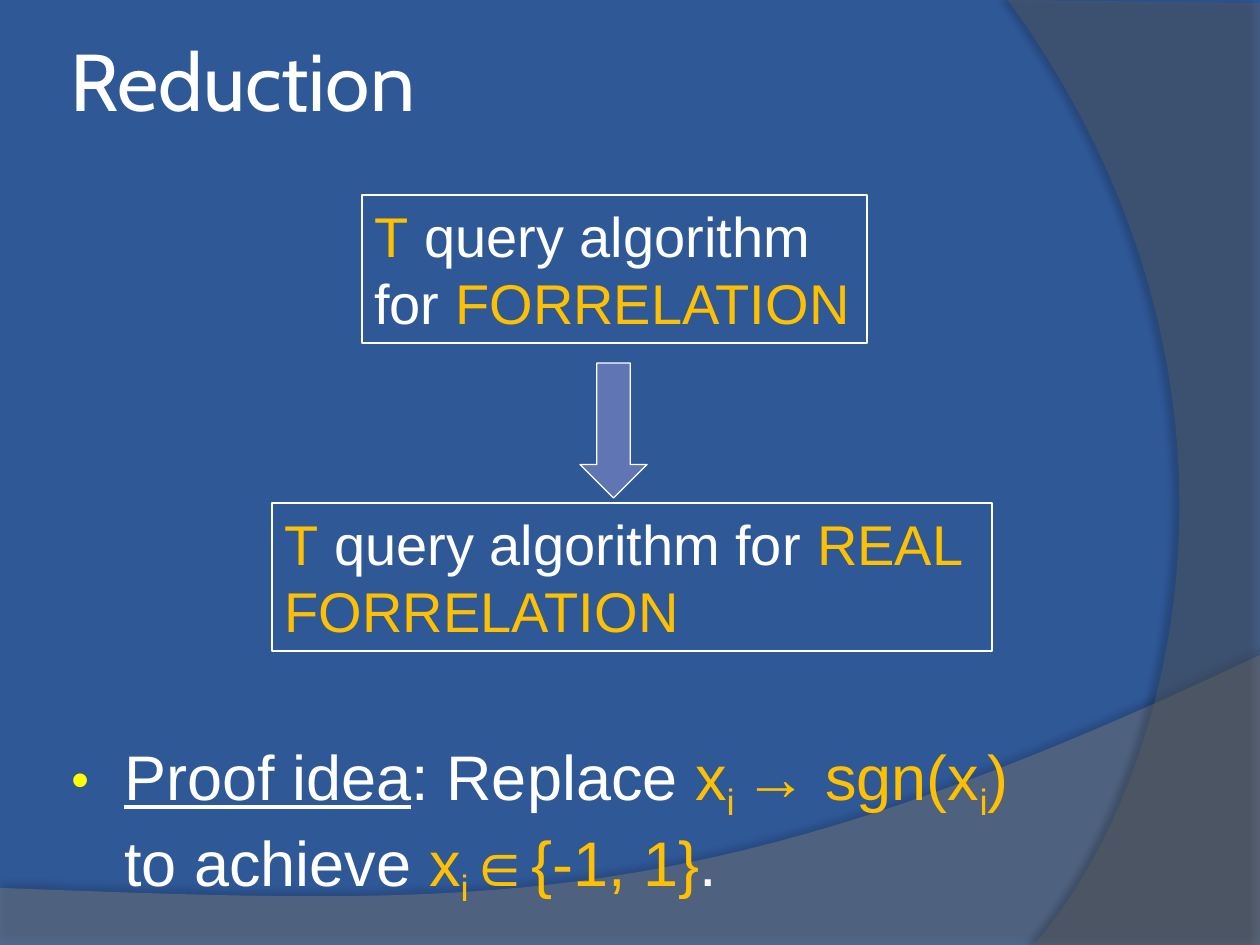
import pptx
import pptx.dml.color
import pptx.enum.shapes
import pptx.enum.text
import pptx.oxml
import pptx.oxml.ns
import pptx.util

RGB = pptx.dml.color.RGBColor
BLUE = RGB(0x2F, 0x58, 0x97)
WHITE = RGB(0xFF, 0xFF, 0xFF)
GOLD = RGB(0xFF, 0xC0, 0x00)
STEEL = RGB(0x60, 0x76, 0xB4)
GRAY = RGB(0x7F, 0x7F, 0x7F)
DARK = RGB(0x5E, 0x5E, 0x5E)
SCALE = 914400 / 126
SPACE = pptx.oxml.ns.nsdecls("a")
SHAPE = pptx.enum.shapes.MSO_SHAPE


def emu(px):
    return pptx.util.Emu(round(px * SCALE))


def curve(start, pull, push, end, steps=40):
    points = []
    for step in range(1, steps + 1):
        t = step / steps
        u = 1 - t
        points.append(tuple(
            u**3 * a + 3 * u * u * t * b + 3 * u * t * t * c + t**3 * d
            for a, b, c, d in zip(start, pull, push, end)))
    return points


class Deck:
    font = "Arial"

    def __init__(self, width, height):
        self.file = pptx.Presentation()
        self.file.slide_width = emu(width)
        self.file.slide_height = emu(height)
        self.slide = self.file.slides.add_slide(self.file.slide_layouts[6])
        fill = self.slide.background.fill
        fill.solid()
        fill.fore_color.rgb = BLUE

    def wave(self, points, color, alpha, shade, blur, gap, angle):
        first, *rest = [(emu(x), emu(y)) for x, y in points]
        pen = self.slide.shapes.build_freeform(*first, scale=1.0)
        pen.add_line_segments(rest, close=True)
        shape = pen.convert_to_shape()
        shape.fill.solid()
        shape.fill.fore_color.rgb = color
        shape.line.fill.background()
        tint = shape._element.spPr.find(".//" + pptx.oxml.ns.qn("a:srgbClr"))
        tint.append(pptx.oxml.parse_xml(
            f'<a:alpha {SPACE} val="{alpha * 1000}"/>'))
        shape._element.spPr.append(pptx.oxml.parse_xml(
            f'<a:effectLst {SPACE}><a:outerShdw blurRad="{pptx.util.Pt(blur)}" '
            f'dist="{pptx.util.Pt(gap)}" dir="{angle * 60000}" algn="ctr" '
            f'rotWithShape="0"><a:srgbClr val="000000">'
            f'<a:alpha val="{shade * 1000}"/></a:srgbClr>'
            f'</a:outerShdw></a:effectLst>'))

    def runs(self, para, parts, size, font=None):
        for text, color, *marks in parts:
            run = para.add_run()
            run.text = text
            run.font.size = pptx.util.Pt(size)
            run.font.name = font or self.font
            run.font.color.rgb = color
            if "line" in marks:
                run.font.underline = True
            if "sub" in marks:
                run._r.get_or_add_rPr().set("baseline", "-25000")

    def text(self, left, top, width, height):
        box = self.slide.shapes.add_textbox(
            emu(left), emu(top), emu(width), emu(height))
        box.text_frame.word_wrap = True
        return box.text_frame

    def title(self, left, top, width, height, words):
        frame = self.text(left, top, width, height)
        frame.vertical_anchor = pptx.enum.text.MSO_ANCHOR.MIDDLE
        frame.margin_left = frame.margin_right = pptx.util.Inches(0.05)
        self.runs(frame.paragraphs[0], [(words, WHITE)], 46, "Cabin")

    def bullet(self, left, top, width, height, parts):
        para = self.text(left, top, width, height).paragraphs[0]
        props = para._p.get_or_add_pPr()
        props.set("marL", str(emu(58)))
        props.set("indent", str(-emu(53)))
        for item in ('<a:buClr {}><a:srgbClr val="FFFF00"/></a:buClr>',
                     '<a:buSzPct {} val="80000"/>',
                     '<a:buFont {} typeface="Arial"/>',
                     '<a:buChar {} char="•"/>'):
            props.append(pptx.oxml.parse_xml(item.format(SPACE)))
        self.runs(para, parts, 36)

    def shape(self, kind, left, top, width, height):
        shape = self.slide.shapes.add_shape(
            kind, emu(left), emu(top), emu(width), emu(height))
        shape.shadow.inherit = False
        shape.line.color.rgb = WHITE
        shape.line.width = pptx.util.Pt(0.75)
        return shape

    def box(self, left, top, width, height, lines):
        shape = self.shape(SHAPE.RECTANGLE, left, top, width, height)
        shape.fill.background()
        frame = shape.text_frame
        frame.word_wrap = False
        frame.auto_size = pptx.enum.text.MSO_AUTO_SIZE.SHAPE_TO_FIT_TEXT
        frame.vertical_anchor = pptx.enum.text.MSO_ANCHOR.TOP
        for spot, parts in enumerate(lines):
            para = frame.add_paragraph() if spot else frame.paragraphs[0]
            para.alignment = pptx.enum.text.PP_ALIGN.LEFT
            self.runs(para, parts, 32)

    def arrow(self, left, top, width, height):
        shape = self.shape(SHAPE.DOWN_ARROW, left, top, width, height)
        shape.fill.solid()
        shape.fill.fore_color.rgb = STEEL


def main():
    deck = Deck(1260, 945)
    deck.wave([(0, 888), (0, 945), (1260, 945), (1260, 655)]
              + curve((1260, 655), (704, 919), (493, 906), (0, 888)),
              GRAY, 45, 35, 4, 3.5, 270)
    deck.wave([(1260, 3), (1260, 945), (1034, 945)]
              + curve((1034, 945), (1178, 780), (1283, 378), (1008, 0)),
              DARK, 40, 45, 4, 4, 180)
    deck.title(64, 0, 1029, 158, "Reduction")
    deck.bullet(54, 731, 1029, 179, [
        ("Proof idea", WHITE, "line"), (": Replace ", WHITE),
        ("x", GOLD), ("i ", GOLD, "sub"), ("→ sgn(x", GOLD),
        ("i", GOLD, "sub"), (")", GOLD), (" to achieve ", WHITE),
        ("x", GOLD), ("i", GOLD, "sub"), ("∈{-1, 1}", GOLD), (".", WHITE)])
    deck.box(362, 195, 505, 148, [
        [("T", GOLD), (" query algorithm", WHITE)],
        [("for ", WHITE), ("FORRELATION", GOLD)]])
    deck.box(272, 503, 720, 148, [
        [("T", GOLD), (" query algorithm for ", WHITE), ("REAL", GOLD)],
        [("FORRELATION", GOLD)]])
    deck.arrow(580, 363, 67, 135)
    deck.file.save("out.pptx")


if __name__ == "__main__":
    main()
